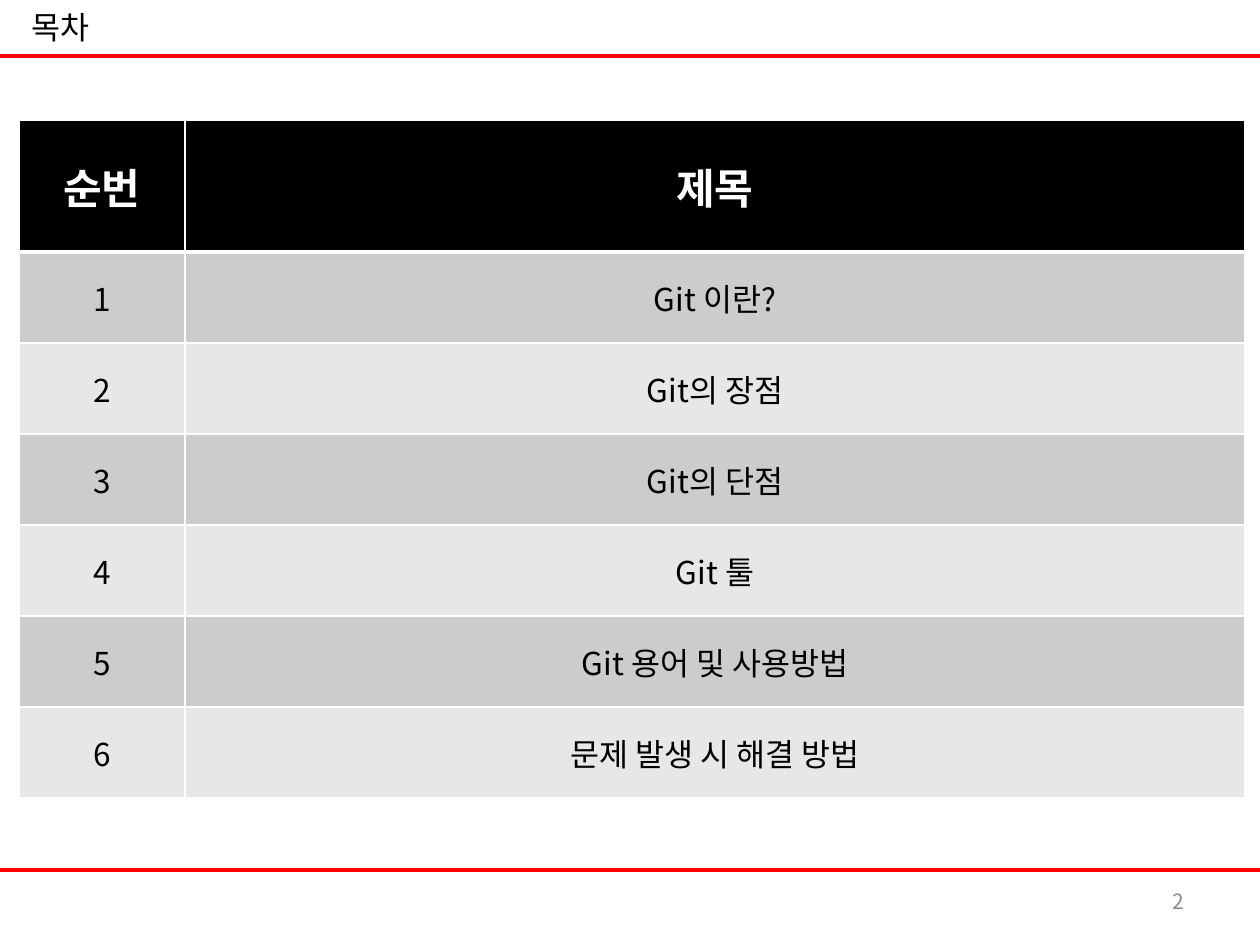
from lxml import etree
from pptx import Presentation
from pptx.dml.color import RGBColor
from pptx.enum.shapes import MSO_CONNECTOR
from pptx.enum.text import MSO_ANCHOR, MSO_AUTO_SIZE, PP_ALIGN
from pptx.oxml.ns import qn
from pptx.util import Emu, Pt

STRAIGHT = MSO_CONNECTOR.STRAIGHT
TOP, MIDDLE = MSO_ANCHOR.TOP, MSO_ANCHOR.MIDDLE
FIT_SHAPE = MSO_AUTO_SIZE.SHAPE_TO_FIT_TEXT
LEFT, CENTER, RIGHT = PP_ALIGN.LEFT, PP_ALIGN.CENTER, PP_ALIGN.RIGHT

EMU_PER_PX = 914400 / 126
SLIDE_W, SLIDE_H = 1260, 945
FONT = "Noto Sans CJK KR"
COLORS = {
    "rule": "FF0000",
    "text": "000000",
    "number": "8C8C8C",
    "header": "000000",
    "header_text": "FFFFFF",
    "odd": "CCCCCC",
    "even": "E7E7E7",
    "border": "FFFFFF",
}
HEADERS = ("순번", "제목")
TOPICS = (
    "Git 이란?",
    "Git의 장점",
    "Git의 단점",
    "Git 툴",
    "Git 용어 및 사용방법",
    "문제 발생 시 해결 방법",
)
COL_WIDTHS = (166, 1060)
HEADER_H, ROW_H = 132, 91


def px(n):
    """Turn pixels into EMU."""
    return Emu(round(n * EMU_PER_PX))


def rgb(name):
    """Look up a named colour."""
    return RGBColor.from_string(COLORS[name])


def write(tf, text, size, color, align, bold=False):
    """Write one formatted run into a text frame."""
    p = tf.paragraphs[0]
    p.alignment = align
    r = p.add_run()
    r.text = text
    r.font.size = Pt(size)
    r.font.bold = bold
    r.font.name = FONT
    r.font.color.rgb = rgb(color)
    etree.SubElement(r.font._element, qn("a:ea"), typeface=FONT)


def add_rule(slide, y):
    """Draw a rule across the slide."""
    line = slide.shapes.add_connector(STRAIGHT, px(0), px(y), px(SLIDE_W), px(y))
    line.line.color.rgb = rgb("rule")
    line.line.width = Pt(2)
    etree.SubElement(line._element.spPr, qn("a:effectLst"))


def set_title(slide, text):
    """Place and format the title."""
    sp = slide.shapes.title
    sp.left, sp.top, sp.width, sp.height = px(19), px(2), px(89), px(50)
    tf = sp.text_frame
    tf.word_wrap = False
    tf.auto_size = FIT_SHAPE
    tf.vertical_anchor = TOP
    write(tf, text, 18, "text", LEFT)


def add_page_number(slide, number):
    """Add the page number at the lower right."""
    sp = slide.shapes.add_textbox(px(903), px(876), px(294), px(50))
    tf = sp.text_frame
    tf.word_wrap = True
    tf.vertical_anchor = MIDDLE
    write(tf, str(number), 12, "number", RIGHT)


def set_borders(cell, top, bottom):
    """Give a cell its border lines, in points."""
    tc_pr = cell._tc.get_or_add_tcPr()
    for side, width in (("L", 1), ("R", 1), ("T", top), ("B", bottom)):
        ln = etree.SubElement(tc_pr, qn(f"a:ln{side}"), w=str(Pt(width)))
        fill = etree.SubElement(ln, qn("a:solidFill"))
        etree.SubElement(fill, qn("a:srgbClr"), val=COLORS["border"])


def fill_cell(cell, text, row):
    """Fill and format a cell by its row."""
    header = row == 0
    set_borders(cell, 3 if row == 1 else 1, 3 if header else 1)
    cell.fill.solid()
    cell.fill.fore_color.rgb = rgb("header" if header else "odd" if row % 2 else "even")
    cell.vertical_anchor = MIDDLE
    size, color = (24, "header_text") if header else (18, "text")
    write(cell.text_frame, text, size, color, CENTER, header)


def add_contents_table(slide):
    """Add the numbered table of contents."""
    rows = [HEADERS, *((str(i), topic) for i, topic in enumerate(TOPICS, 1))]
    height = HEADER_H + ROW_H * len(TOPICS)
    table = slide.shapes.add_table(
        len(rows), len(HEADERS), px(19), px(120), px(sum(COL_WIDTHS)), px(height)
    ).table
    for column, width in zip(table.columns, COL_WIDTHS):
        column.width = px(width)
    for i, texts in enumerate(rows):
        table.rows[i].height = px(ROW_H if i else HEADER_H)
        for j, text in enumerate(texts):
            fill_cell(table.cell(i, j), text, i)


def main():
    """Build the contents slide."""
    prs = Presentation()
    prs.slide_width, prs.slide_height = px(SLIDE_W), px(SLIDE_H)
    slide = prs.slides.add_slide(prs.slide_layouts[5])
    add_rule(slide, 56)
    set_title(slide, "목차")
    add_rule(slide, 870)
    add_page_number(slide, 2)
    add_contents_table(slide)
    prs.save("out.pptx")


if __name__ == "__main__":
    main()
